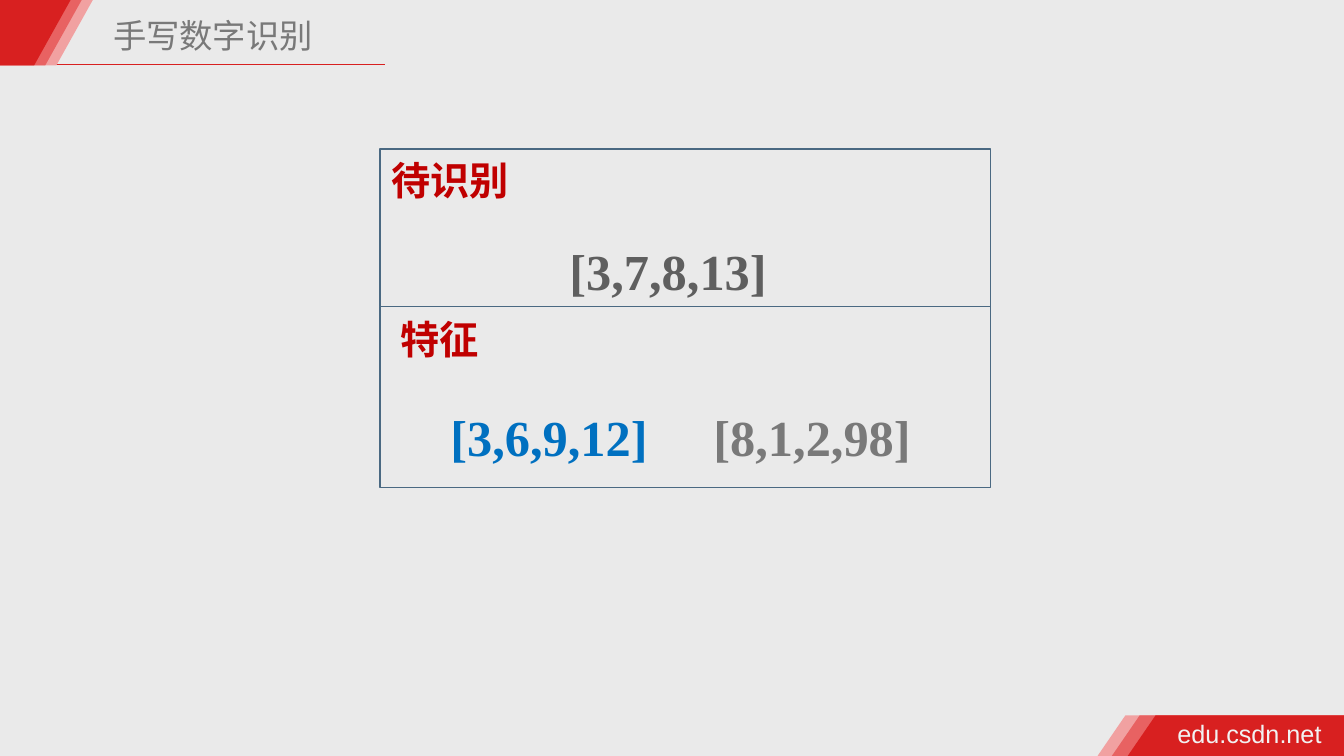
from lxml import etree
from pptx import Presentation
from pptx.dml.color import RGBColor
from pptx.enum.shapes import MSO_CONNECTOR, MSO_SHAPE
from pptx.enum.text import MSO_ANCHOR, MSO_AUTO_SIZE, PP_ALIGN
from pptx.oxml.ns import qn
from pptx.util import Cm, Pt

STRAIGHT = MSO_CONNECTOR.STRAIGHT
RECTANGLE, ROUNDED = MSO_SHAPE.RECTANGLE, MSO_SHAPE.ROUNDED_RECTANGLE
TOP, MIDDLE = MSO_ANCHOR.TOP, MSO_ANCHOR.MIDDLE
LEFT, CENTER = PP_ALIGN.LEFT, PP_ALIGN.CENTER
NO_FIT = MSO_AUTO_SIZE.NONE

WIDTH, HEIGHT = 33.87, 19.05
SANS, CHINESE, SERIF = "Arial", "Noto Sans CJK SC", "Times New Roman"
RED, ROSE, PINK = "D82020", "E86262", "F1A1A1"
BACKGROUND, FRAME, DARK_RED, BLUE = "EAEAEA", "4A6982", "C00000", "0070C0"
GREY, DARK_GREY, PALE = "797979", "5F5F5F", "F2F2F2"


def colour(hex_code):
    return RGBColor.from_string(hex_code)


class SlideBuilder:
    def __init__(self, presentation):
        self.slide = presentation.slides.add_slide(presentation.slide_layouts[5])
        self.shapes = self.slide.shapes
        background = self.slide.background.fill
        background.solid()
        background.fore_color.rgb = colour(BACKGROUND)

    def add_words(self, frame, words, size, font, hex_code, bold=False,
                  align=LEFT, anchor=TOP, inset=None, wrap=True):
        frame.word_wrap = wrap
        frame.auto_size = NO_FIT
        frame.vertical_anchor = anchor
        if inset is not None:
            frame.margin_left = frame.margin_right = Cm(inset)
            frame.margin_top = frame.margin_bottom = Cm(inset)
        paragraph = frame.paragraphs[0]
        paragraph.alignment = align
        run = paragraph.add_run()
        run.text = words
        run.font.size = Pt(size)
        run.font.name = font
        run.font.bold = bold
        run.font.color.rgb = colour(hex_code)
        east_asian = etree.SubElement(run.font._element, qn("a:ea"))
        east_asian.set("typeface", font)
        return paragraph

    def title(self, words, left, top, width, height):
        heading = self.shapes.title
        heading.left, heading.top = Cm(left), Cm(top)
        heading.width, heading.height = Cm(width), Cm(height)
        paragraph = self.add_words(heading.text_frame, words, 23.8, CHINESE, GREY,
                                   anchor=MIDDLE, inset=0.13)
        paragraph.line_spacing = 1.1

    def text(self, words, left, top, width, height, *style, **options):
        box = self.shapes.add_textbox(Cm(left), Cm(top), Cm(width), Cm(height))
        self.add_words(box.text_frame, words, *style, **options)

    def rule(self, left, right, y, hex_code):
        line = self.shapes.add_connector(STRAIGHT, Cm(left), Cm(y), Cm(right), Cm(y))
        line.line.color.rgb = colour(hex_code)
        line.line.width = Pt(1)
        etree.SubElement(line._element.spPr, qn("a:effectLst"))

    def band(self, points, hex_code):
        corners = [(Cm(x), Cm(y)) for x, y in points]
        outline = self.shapes.build_freeform(*corners[0])
        outline.add_line_segments(corners[1:])
        band = outline.convert_to_shape()
        band.shadow.inherit = False
        band.fill.solid()
        band.fill.fore_color.rgb = colour(hex_code)
        band.line.fill.background()

    def panel(self, left, top, width, height):
        panel = self.shapes.add_shape(RECTANGLE, Cm(left), Cm(top), Cm(width), Cm(height))
        panel.shadow.inherit = False
        panel.fill.background()
        panel.line.color.rgb = colour(FRAME)
        panel.line.width = Pt(1)

    def label(self, words, left, top, width, height):
        label = self.shapes.add_shape(ROUNDED, Cm(left), Cm(top), Cm(width), Cm(height))
        label.shadow.inherit = False
        label.fill.background()
        label.line.fill.background()
        self.add_words(label.text_frame, words, 28, CHINESE, DARK_RED, bold=True,
                       align=CENTER, anchor=MIDDLE)


def main():
    presentation = Presentation()
    presentation.slide_width, presentation.slide_height = Cm(WIDTH), Cm(HEIGHT)
    page = SlideBuilder(presentation)

    page.rule(1.24, 9.7, 1.63, RED)
    header_height, footer_top = 1.65, 18.03
    for hex_code, header_shift, footer_shift in (
            (PINK, 0.56, 0), (ROSE, 0.28, 0.36), (RED, 0, 0.76)):
        page.band([(0, 0), (1.78 + header_shift, 0),
                   (0.86 + header_shift, header_height), (0, header_height)], hex_code)
        foot = 27.66 + footer_shift
        page.band([(foot, HEIGHT), (foot + 0.7, footer_top),
                   (WIDTH, footer_top), (WIDTH, HEIGHT)], hex_code)
    page.text("edu.csdn.net", 29.54, 17.98, 3.94, 1.02, 18, SANS, PALE,
              inset=0.13, wrap=False)
    page.title("手写数字识别", 2.72, 0.13, 5.41, 1.42)

    for vector, left, top, hex_code in (
            ("[3,6,9,12]", 11.1, 10.11, BLUE),
            ("[8,1,2,98]", 17.73, 10.11, GREY),
            ("[3,7,8,13]", 14.1, 5.92, DARK_GREY)):
        page.text(vector, left, top, 5.97, 1.8, 36, SERIF, hex_code, bold=True)

    for top, height in ((3.76, 3.96), (7.72, 4.57)):
        page.panel(9.58, top, 15.39, height)
    page.label("待识别", 8.99, 3.76, 4.72, 1.52)
    page.label("特征", 9.04, 7.77, 4.06, 1.52)

    presentation.save("out.pptx")


if __name__ == "__main__":
    main()
